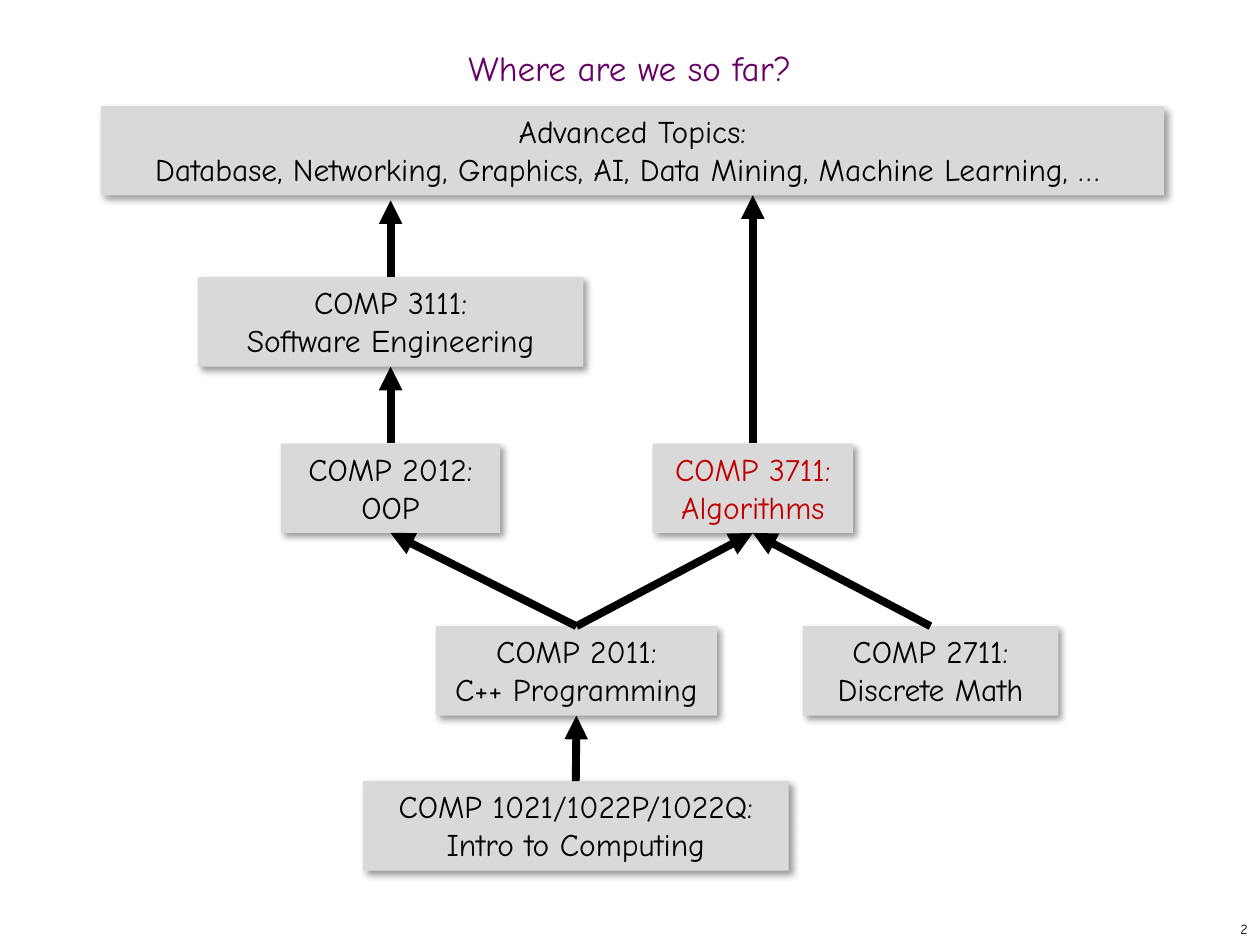
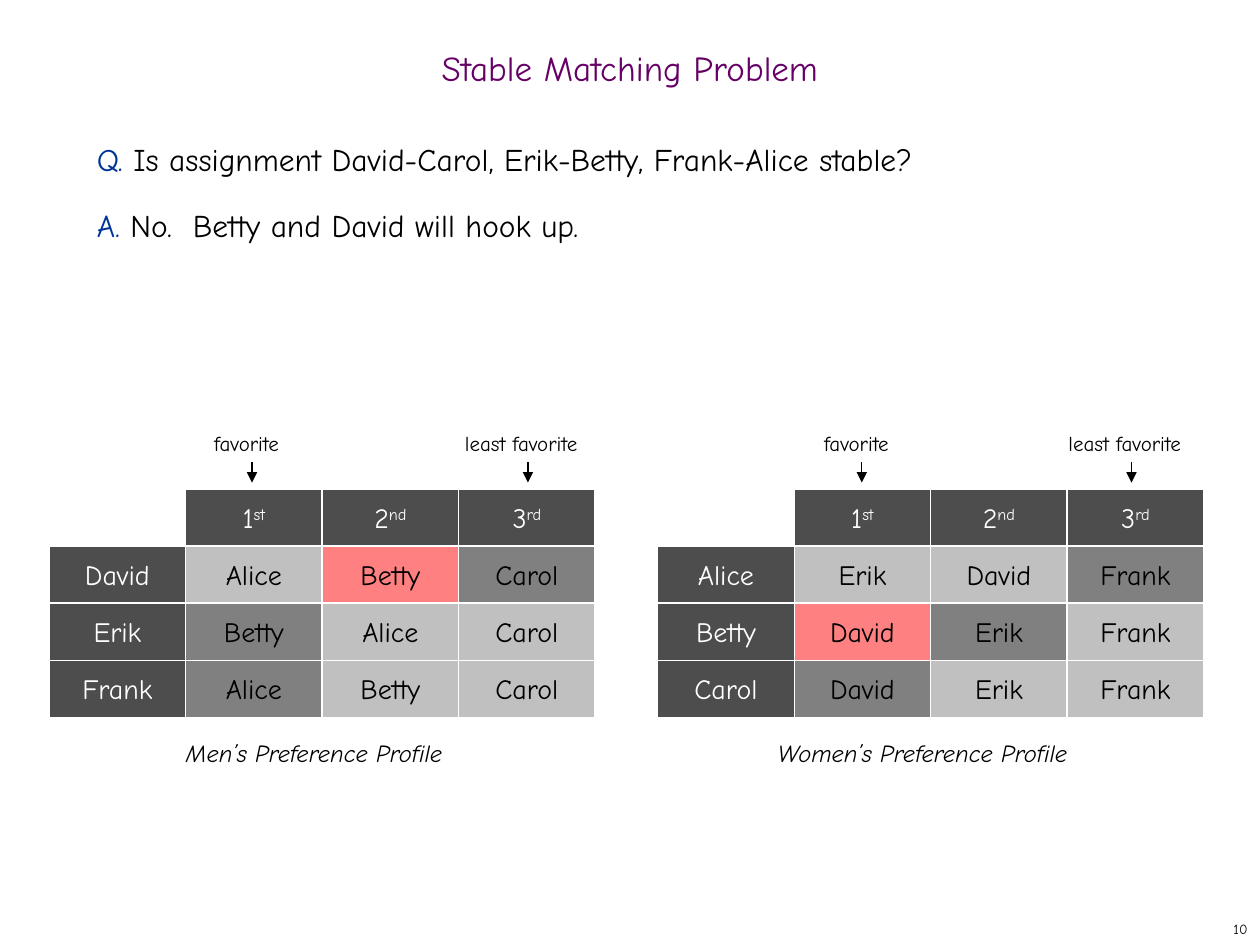
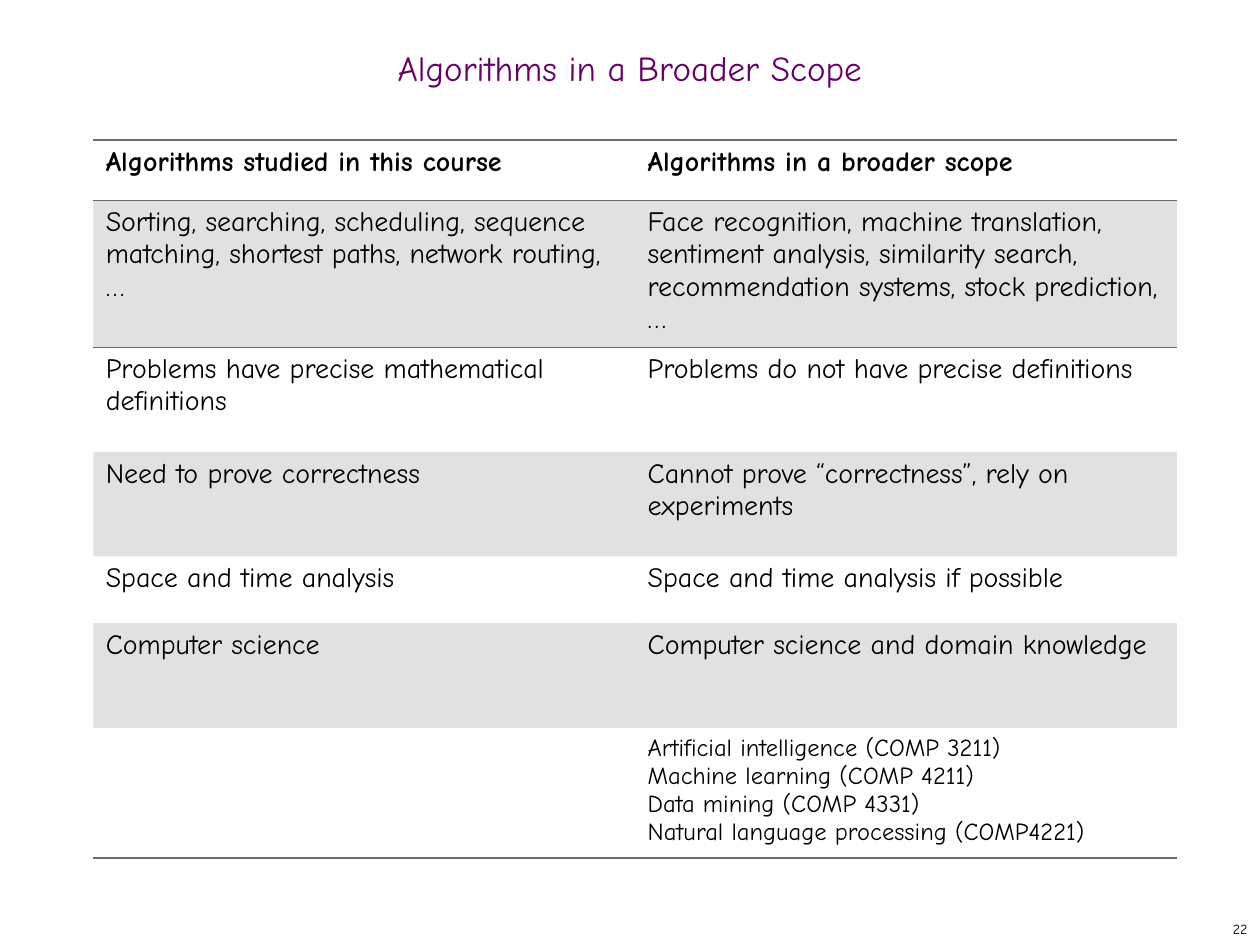
import pptx
import pptx.util
import pptx.dml.color
import pptx.enum.shapes
import pptx.enum.text
import pptx.oxml
import pptx.oxml.ns
from lxml import etree

Inches = pptx.util.Inches
Pt = pptx.util.Pt
RGB = pptx.dml.color.RGBColor
Align = pptx.enum.text.PP_ALIGN
Anchor = pptx.enum.text.MSO_ANCHOR
Fit = pptx.enum.text.MSO_AUTO_SIZE
qn = pptx.oxml.ns.qn

FONT = "Comic Neue"
BLACK = RGB(0x00, 0x00, 0x00)
WHITE = RGB(0xFF, 0xFF, 0xFF)
PURPLE = RGB(0x66, 0x00, 0x66)
BLUE = RGB(0x00, 0x33, 0x99)
RED = RGB(0xC0, 0x00, 0x00)
PALE = RGB(0xD9, 0xD9, 0xD9)
DARK = RGB(0x4D, 0x4D, 0x4D)
RULE = RGB(0x6B, 0x6B, 0x6B)
SHADES = {
    "plain": RGB(0xC0, 0xC0, 0xC0),
    "match": RGB(0x80, 0x80, 0x80),
    "rival": RGB(0xFF, 0x80, 0x80),
}
NO_STYLE = "{2D5ABB26-0587-4C30-8999-92F81FD0307C}"

COL = 3.25 / 3
ROW = 1.36 / 3
GRID_TOP = 3.88
RANKS = [("1", "st"), ("2", "nd"), ("3", "rd")]

COURSES = {
    "adv": (0.8, 0.84, 8.44, "Advanced Topics:\nDatabase, Networking, Graphics, "
            "AI, Data Mining, Machine Learning, … "),
    "eng": (1.57, 2.2, 3.06, "COMP 3111:\nSoftware Engineering"),
    "oop": (2.23, 3.52, 1.74, "COMP 2012:\nOOP"),
    "algo": (5.18, 3.52, 1.59, "COMP 3711: Algorithms"),
    "cpp": (3.46, 4.97, 2.23, "COMP 2011:\nC++ Programming"),
    "math": (6.37, 4.97, 2.03, "COMP 2711:\nDiscrete Math"),
    "intro": (2.88, 6.2, 3.38, "COMP 1021/1022P/1022Q:\nIntro to Computing"),
}
BOX_H = 0.71
LINKS = [("intro", "cpp"), ("cpp", "oop"), ("cpp", "algo"), ("math", "algo"),
         ("oop", "eng"), ("eng", "adv"), ("algo", "adv")]

MEN = [
    ("David", [("Alice", "plain"), ("Betty", "rival"), ("Carol", "match")]),
    ("Erik", [("Betty", "match"), ("Alice", "plain"), ("Carol", "plain")]),
    ("Frank", [("Alice", "match"), ("Betty", "plain"), ("Carol", "plain")]),
]
WOMEN = [
    ("Alice", [("Erik", "plain"), ("David", "plain"), ("Frank", "match")]),
    ("Betty", [("David", "rival"), ("Erik", "match"), ("Frank", "plain")]),
    ("Carol", [("David", "match"), ("Erik", "plain"), ("Frank", "plain")]),
]

SCOPE = [
    (0.48, "Algorithms studied in this course", "Algorithms in a broader scope"),
    (0.83, "Sorting, searching, scheduling, sequence matching, shortest paths, "
     "network routing, …",
     "Face recognition, machine translation, sentiment analysis, similarity "
     "search, recommendation systems, stock prediction, …"),
    (0.83, "Problems have precise mathematical definitions",
     "Problems do not have precise definitions"),
    (0.83, "Need to prove correctness",
     "Cannot prove “correctness”, rely on experiments"),
    (0.53, "Space and time analysis", "Space and time analysis if possible"),
    (0.83, "Computer science", "Computer science and domain knowledge"),
    (0.83, "", ["Artificial intelligence (COMP 3211)",
                "Machine learning (COMP 4211)",
                "Data mining (COMP 4331)",
                "Natural language processing (COMP4221)"]),
]


def style(run, size, color, bold=False, italic=False, base=0):
    """Format one run."""
    font = run.font
    font.name, font.size = FONT, Pt(size)
    font.bold, font.italic = bold, italic
    font.color.rgb = color
    if base:
        run._r.get_or_add_rPr().set("baseline", str(base * 1000))


def write(frame, text, size=18, color=BLACK, align=Align.LEFT, lead=None,
          before=None, **look):
    """Fill a frame with paragraphs, each a string or a list of runs."""
    paras = text if isinstance(text, list) else [text]
    for i, runs in enumerate(paras):
        para = frame.paragraphs[0] if i == 0 else frame.add_paragraph()
        para.alignment = align
        if lead is not None:
            para.line_spacing = lead
        if before is not None:
            para.space_before = before
        for part, extra in [(runs, {})] if isinstance(runs, str) else runs:
            for j, line in enumerate(part.split("\n")):
                if j:
                    para.add_line_break()
                run = para.add_run()
                run.text = line
                style(run, **{"size": size, "color": color, **look, **extra})


def label(slide, left, top, width, height, text, anchor=Anchor.MIDDLE,
          wrap=False, tight=False, **form):
    """Add a text box."""
    frame = slide.shapes.add_textbox(
        Inches(left), Inches(top), Inches(width), Inches(height)).text_frame
    frame.word_wrap = wrap
    frame.vertical_anchor = anchor
    if tight:
        frame.margin_left = frame.margin_right = 0
        frame.margin_top = frame.margin_bottom = 0
        frame.auto_size = Fit.SHAPE_TO_FIT_TEXT
    write(frame, text, **form)


def block(slide, left, top, width, height, fill, text, edge=None,
          anchor=Anchor.MIDDLE, wrap=False, **form):
    """Add a filled rectangle with centred text."""
    shape = slide.shapes.add_shape(
        pptx.enum.shapes.MSO_SHAPE.RECTANGLE,
        Inches(left), Inches(top), Inches(width), Inches(height))
    shape.shadow.inherit = False
    shape.fill.solid()
    shape.fill.fore_color.rgb = fill
    if edge is None:
        shape.line.fill.background()
    else:
        shape.line.color.rgb = edge
        shape.line.width = Pt(0.75)
    shape.text_frame.word_wrap = wrap
    shape.text_frame.vertical_anchor = anchor
    write(shape.text_frame, text, align=Align.CENTER, **form)
    return shape


def shade(shape):
    """Give a shape a soft shadow to the lower right."""
    effects = shape.element.spPr.find(qn("a:effectLst"))
    outer = etree.SubElement(
        effects, qn("a:outerShdw"), blurRad=str(Pt(4)), dist=str(Pt(3)),
        dir=str(45 * 60000), algn="tl", rotWithShape="0")
    tone = etree.SubElement(outer, qn("a:srgbClr"), val=str(BLACK))
    etree.SubElement(tone, qn("a:alpha"), val="40000")


def arrow(slide, start, end, width):
    """Draw a straight black arrow."""
    line = slide.shapes.add_connector(
        pptx.enum.shapes.MSO_CONNECTOR.STRAIGHT,
        *[Inches(v) for v in (*start, *end)])
    line.line.color.rgb = BLACK
    line.line.width = Pt(width)
    etree.SubElement(line.line._get_or_add_ln(), qn("a:tailEnd"), type="triangle")
    etree.SubElement(line.element.spPr, qn("a:effectLst"))


def start(deck, title, number):
    """Add a slide with its title and page number."""
    slide = deck.slides.add_slide(deck.slide_layouts[5])
    head = slide.shapes.title
    head.left, head.top = Inches(0), Inches(0.33)
    head.width, head.height = Inches(10), Inches(0.5)
    head.text_frame.auto_size = Fit.NONE
    head.text_frame.vertical_anchor = Anchor.MIDDLE
    write(head.text_frame, title, size=20, color=PURPLE, align=Align.CENTER,
          lead=0.7)
    label(slide, 7.92, 7.25, 2.08, 0.25, str(number), size=8, align=Align.RIGHT)
    return slide


def course(slide):
    """Draw the course boxes and the arrows between them."""
    for key, (left, top, width, text) in COURSES.items():
        shape = block(slide, left, top, width, BOX_H, PALE, text,
                      anchor=Anchor.TOP, wrap=True,
                      color=RED if key == "algo" else BLACK)
        shape.text_frame.auto_size = Fit.SHAPE_TO_FIT_TEXT
        shade(shape)
    for low, high in LINKS:
        left, top, width, _ = COURSES[low]
        x = left + width / 2
        left, above, width, _ = COURSES[high]
        goal = x if high == "adv" else left + width / 2
        gap = 0.04 if (low, high) == ("eng", "adv") else 0
        arrow(slide, (x, top), (goal, above + BOX_H + gap), 4.5)


def hint(slide, left, width, shift, text):
    """Add a small label with an arrow down to its column."""
    label(slide, left, 3.42, width, 0.23, text, anchor=Anchor.TOP, tight=True,
          size=12)
    arrow(slide, (left + shift, 3.67), (left + shift, 3.83), 0.75)


def cell(slide, left, row, col, fill, text, color):
    """Add one cell of a preference grid."""
    block(slide, left + col * COL, GRID_TOP + row * ROW, COL, ROW, fill, text,
          edge=WHITE, size=16, color=color)


def prefs(slide, left, first, last, rows, title):
    """Draw a preference grid with its hints and caption."""
    hint(slide, first, 0.64, 0.3, "favorite")
    hint(slide, last, 1.08, 0.5, "least favorite")
    for col, (digit, end) in enumerate(RANKS, 1):
        cell(slide, left, 0, col, DARK,
             [[(digit, {}), (end, {"base": 30})]], WHITE)
    for row, (name, picks) in enumerate(rows, 1):
        cell(slide, left, row, 0, DARK, name, WHITE)
        for col, (pick, kind) in enumerate(picks, 1):
            cell(slide, left, row, col, SHADES[kind], pick, BLACK)
    label(slide, left - 0.06, 5.75, 4.33, 0.45, title, size=14, italic=True,
          align=Align.CENTER)


def border(box, sides):
    """Rule the given sides of a table cell."""
    props = box._tc.get_or_add_tcPr()
    for i, side in enumerate(sides):
        line = etree.Element(qn("a:ln" + side), w=str(Pt(1)))
        fill = etree.SubElement(line, qn("a:solidFill"))
        etree.SubElement(fill, qn("a:srgbClr"), val=str(RULE))
        props.insert(i, line)


def scope(slide):
    """Add the table that compares the two kinds of algorithm."""
    heights = [row[0] for row in SCOPE]
    frame = slide.shapes.add_table(
        len(SCOPE), 2, Inches(0.74), Inches(1.11), Inches(8.6),
        Inches(sum(heights)))
    frame.element.find(".//" + qn("a:tableStyleId")).text = NO_STYLE
    table = frame.table
    final = len(SCOPE) - 1
    for r, (height, *texts) in enumerate(SCOPE):
        table.rows[r].height = Inches(height)
        for c, text in enumerate(texts):
            box = table.cell(r, c)
            if text:
                write(box.text_frame, text, size=14 if r == final else 16,
                      bold=r == 0)
            if r % 2:
                box.fill.solid()
                box.fill.fore_color.rgb = RULE
                tone = box._tc.tcPr.find(".//" + qn("a:srgbClr"))
                etree.SubElement(tone, qn("a:alpha"), val="20000")
            else:
                box.fill.background()
            border(box, {0: "TB", 1: "T", final: "B"}.get(r, ""))


def main():
    """Build the deck."""
    deck = pptx.Presentation()
    deck.slide_width, deck.slide_height = Inches(10), Inches(7.5)

    course(start(deck, "Where are we so far?", 2))

    slide = start(deck, "Stable Matching Problem", 10)
    tag = {"color": BLUE}
    label(slide, 0.67, 1, 8.58, 2.5, [
        [("Q. ", tag),
         ("Is assignment David-Carol, Erik-Betty, Frank-Alice stable?", {})],
        [("A. ", tag), ("No.  Betty and David will hook up.", {})],
    ], anchor=Anchor.TOP, wrap=True, lead=Pt(26), before=Pt(12))
    prefs(slide, 0.39, 1.7, 3.69, MEN, "Men’s Preference Profile")
    prefs(slide, 5.22, 6.54, 8.48, WOMEN, "Women’s Preference Profile")

    scope(start(deck, "Algorithms in a Broader Scope", 22))
    deck.save("out.pptx")


if __name__ == "__main__":
    main()
